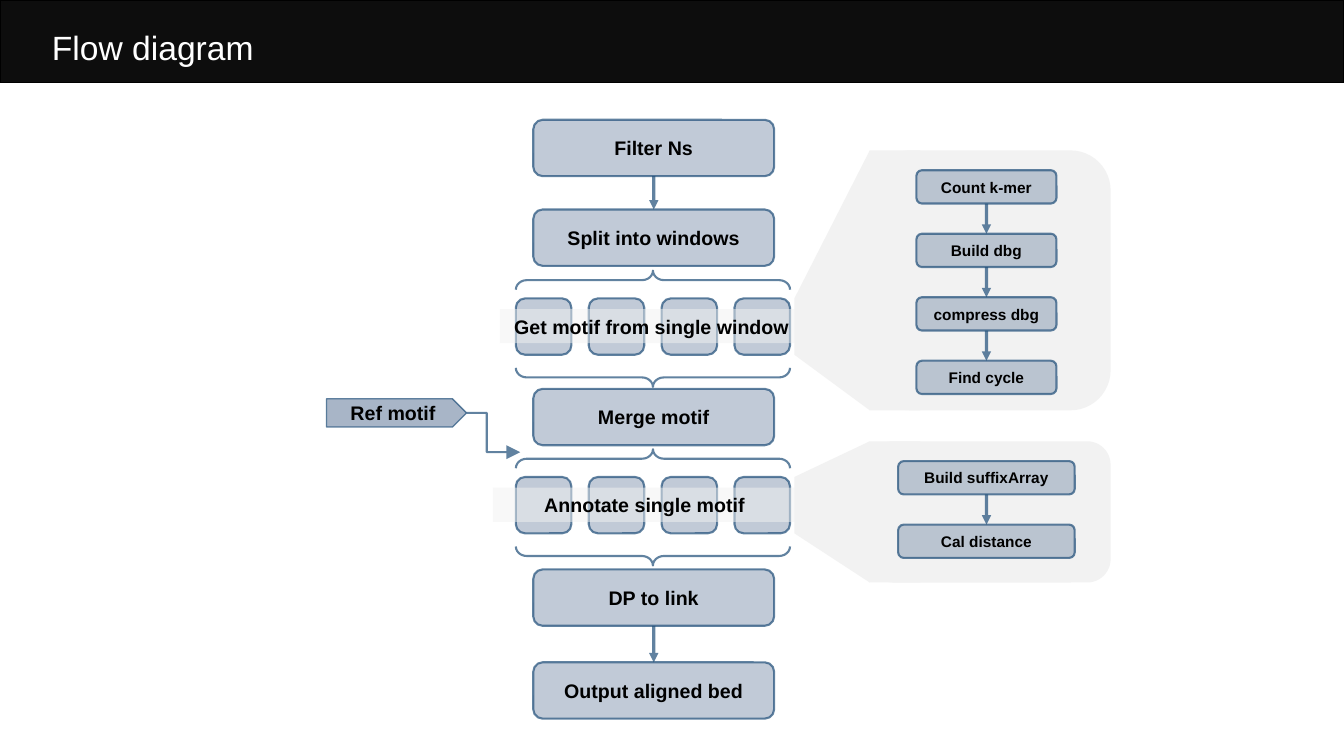
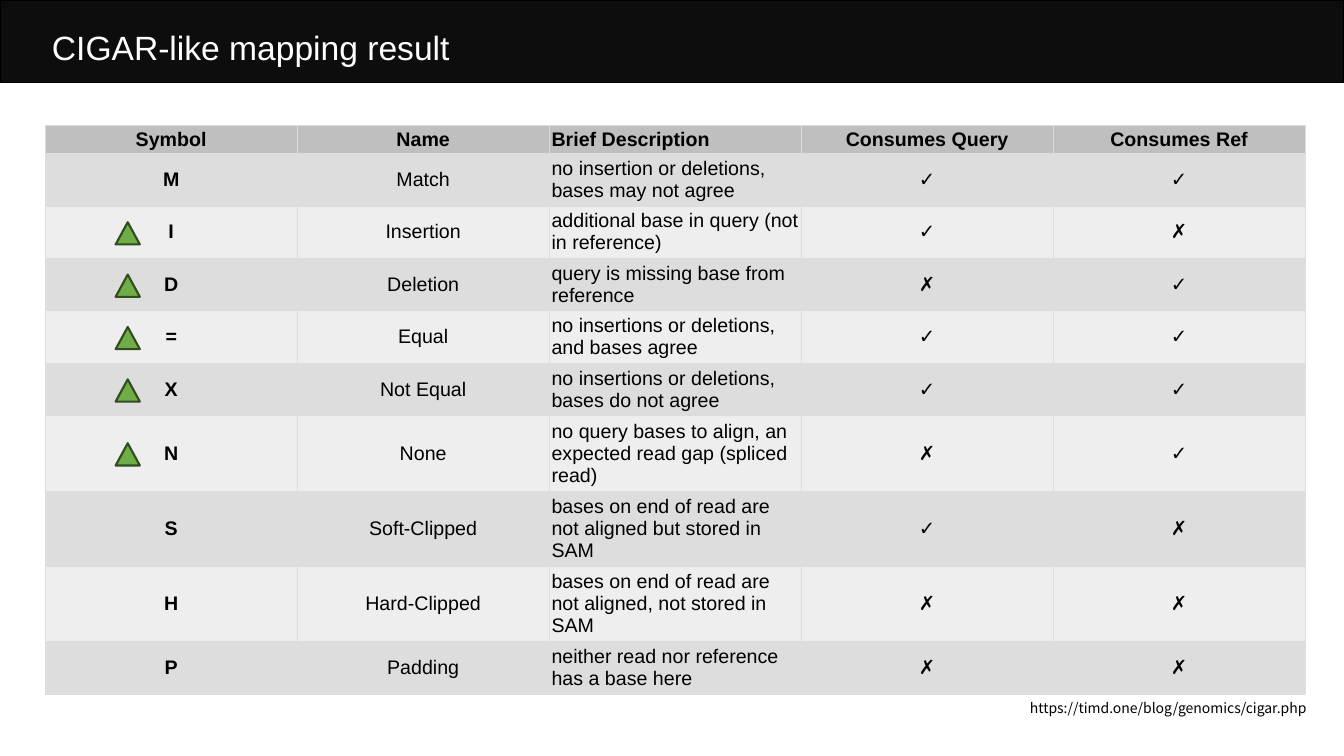
from dataclasses import dataclass
from itertools import accumulate, pairwise

from lxml.etree import SubElement
from pptx import Presentation
from pptx.dml.color import RGBColor
from pptx.enum.shapes import MSO_CONNECTOR as Link, MSO_SHAPE as Kind
from pptx.enum.text import MSO_ANCHOR as Anchor, PP_ALIGN as Align
from pptx.oxml.ns import qn
from pptx.util import Cm, Pt


@dataclass(frozen=True)
class Theme:
    font: str = "Arial"
    link_font: str = "Noto Sans CJK SC"
    black: str = "000000"
    white: str = "FFFFFF"
    band: str = "0D0D0D"
    step: str = "8497B0"
    edge: str = "1F4E79"
    panel: str = "F2F2F2"
    header: str = "BFBFBF"
    rows: tuple = ("DDDDDD", "EEEEEE")
    border: str = "DDDDDD"
    marker: str = "70AD47"
    marker_edge: str = "314C1F"
    title_size: float = 24
    body_size: float = 14
    detail_size: float = 11
    link_size: float = 10
    edge_alpha: int = 70


THEME = Theme()


@dataclass(frozen=True)
class Box:
    """A rectangle in centimetres."""
    left: float
    top: float
    width: float
    height: float

    @property
    def center(self):
        return self.left + self.width / 2

    @property
    def middle(self):
        return self.top + self.height / 2

    def emu(self):
        return [Cm(v) for v in (self.left, self.top, self.width, self.height)]


def centered(x, y, width, height):
    return Box(x - width / 2, y - height / 2, width, height)


# Shared drawing helpers
def fade(solid_fill, percent):
    if percent < 100:
        SubElement(solid_fill[0], qn("a:alpha"), val=str(percent * 1000))


def paint_line(item, color, width, alpha=100):
    item.line.color.rgb = RGBColor.from_string(color)
    item.line.width = Pt(width)
    fade(item.element.spPr.find(qn("a:ln")).find(qn("a:solidFill")), alpha)


def paint(shape, fill=None, alpha=100, line=None, width=1.5, line_alpha=100):
    shape.shadow.inherit = False
    if fill:
        shape.fill.solid()
        shape.fill.fore_color.rgb = RGBColor.from_string(fill)
        fade(shape.element.spPr.find(qn("a:solidFill")), alpha)
    else:
        shape.fill.background()
    if line:
        paint_line(shape, line, width, line_alpha)
    else:
        shape.line.fill.background()


def add_shape(page, kind, box, **look):
    shape = page.shapes.add_shape(kind, *box.emu())
    paint(shape, **look)
    return shape


def write(frame, text, size, bold=False, color=THEME.black,
          align=Align.CENTER, font=THEME.font):
    frame.text = text
    para = frame.paragraphs[0]
    para.alignment = align
    for span in para.runs:
        span.font.name = font
        span.font.size = Pt(size)
        span.font.bold = bold
        span.font.color.rgb = RGBColor.from_string(color)


def add_text(page, box, text, size, **style):
    frame = page.shapes.add_textbox(*box.emu()).text_frame
    frame.word_wrap = True
    write(frame, text, size, **style)


def add_step(page, box, text="", size=THEME.body_size,
             kind=Kind.ROUNDED_RECTANGLE, alpha=50, width=1.5):
    step = add_shape(page, kind, box, fill=THEME.step, alpha=alpha,
                     line=THEME.edge, width=width, line_alpha=THEME.edge_alpha)
    if text:
        frame = step.text_frame
        frame.vertical_anchor = Anchor.MIDDLE
        write(frame, text, size, bold=True)
    return step


def finish_arrow(arrow, width, head="med"):
    paint_line(arrow, THEME.edge, width, THEME.edge_alpha)
    properties = arrow.element.spPr
    SubElement(properties.find(qn("a:ln")), qn("a:tailEnd"),
               type="triangle", w=head, len=head)
    SubElement(properties, qn("a:effectLst"))


def join_down(page, upper, lower):
    arrow = page.shapes.add_connector(Link.STRAIGHT, 0, 0, 0, 0)
    arrow.begin_connect(upper, 2)
    arrow.end_connect(lower, 0)
    finish_arrow(arrow, 2.25)


def start_page(deck, title):
    page = deck.slides.add_slide(deck.slide_layouts[6])
    add_shape(page, Kind.RECTANGLE, Box(0, 0, 33.87, 2.08),
              fill=THEME.band, line=THEME.black, width=1)
    add_text(page, Box(1.06, 0.56, 26.95, 1.27), title, THEME.title_size,
             color=THEME.white, align=Align.LEFT)
    return page


# Flow diagram
def add_main_steps(page, box):
    step_height = 1.42
    offsets = {"Filter Ns": 0, "Split into windows": 2.26, "Merge motif": 6.78,
               "DP to link": 11.33, "Output aligned bed": 13.67}
    steps = [add_step(page, Box(box.left, box.top + offset, box.width,
                                step_height), text)
             for text, offset in offsets.items()]
    join_down(page, steps[0], steps[1])
    join_down(page, steps[3], steps[4])


def add_parallel_row(page, box, text, strip_left):
    # Four parallel tasks
    side, count = 1.4, 4
    pitch = (box.width - side) / (count - 1)
    for index in range(count):
        add_step(page, Box(box.left + index * pitch, box.top, side, box.height))
    # Braces that open above and close below
    for offset, turn in ((-1.17, 90), (1.28, 270)):
        spot = centered(box.center, box.middle + offset, 0.48, box.width)
        brace = add_shape(page, Kind.LEFT_BRACE, spot, line=THEME.edge,
                          line_alpha=THEME.edge_alpha)
        brace.adjustments[0] = 0.576
        brace.rotation = turn
    # Label strip
    strip = add_shape(page, Kind.RECTANGLE,
                      Box(strip_left, box.middle - 0.44, 7.65, 0.86),
                      fill=THEME.panel, alpha=50)
    strip.text_frame.vertical_anchor = Anchor.MIDDLE
    write(strip.text_frame, text, THEME.body_size, bold=True)


def add_detail_panel(page, box, source, step_width, texts):
    # Funnel from the row to the panel
    mouth = box.left - 1.9
    outline = [(mouth, source.top), (mouth, source.top + source.height),
               (box.left, box.top + box.height), (box.left, box.top)]
    points = [(Cm(x), Cm(y)) for x, y in outline]
    builder = page.shapes.build_freeform(*points[0], scale=1.0)
    builder.add_line_segments(points[1:], close=True)
    paint(builder.convert_to_shape(), fill=THEME.panel)
    # Panel, square on the left and rounded on the right
    add_shape(page, Kind.ROUNDED_RECTANGLE, box, fill=THEME.panel)
    add_shape(page, Kind.RECTANGLE, Box(box.left, box.top, 1.27, box.height),
              fill=THEME.panel)
    # Steps
    left = box.left + 2.94 - step_width / 2
    steps = [add_step(page, Box(left, box.top + 0.5 + index * 1.6,
                                step_width, 0.84), text, THEME.detail_size)
             for index, text in enumerate(texts)]
    for upper, lower in pairwise(steps):
        join_down(page, upper, lower)


def add_reference(page, box):
    add_step(page, box, "Ref motif", kind=Kind.PENTAGON, alpha=70, width=1)
    right = box.left + box.width
    arrow = page.shapes.add_connector(Link.ELBOW, Cm(right), Cm(box.middle),
                                      Cm(right + 1.35), Cm(box.middle + 0.99))
    guides = arrow.element.spPr.find(qn("a:prstGeom")).find(qn("a:avLst"))
    SubElement(guides, qn("a:gd"), name="adj1", fmla="val 37600")
    finish_arrow(arrow, 1.5, head="lg")


def build_flow_page(deck):
    page = start_page(deck, "Flow diagram")
    add_main_steps(page, Box(13.44, 3.02, 6.07, 15.09))
    windows = Box(13, 7.52, 6.91, 1.42)
    motifs = Box(13, 12.02, 6.91, 1.42)
    add_parallel_row(page, windows, "Get motif from single window", 12.6)
    add_parallel_row(page, motifs, "Annotate single motif", 12.42)
    add_detail_panel(page, Box(21.92, 3.79, 6.07, 6.55), windows, 3.53,
                     ["Count k-mer", "Build dbg", "compress dbg", "Find cycle"])
    add_detail_panel(page, Box(21.92, 11.12, 6.07, 3.56), motifs, 4.45,
                     ["Build suffixArray", "Cal distance"])
    add_reference(page, Box(8.23, 10.05, 3.53, 0.71))


# Operation table
HEADINGS = ("Symbol", "Name", "Brief Description", "Consumes Query",
            "Consumes Ref")
# Symbol, name, description, query, reference, lines of text
OPERATIONS = (
    ("M", "Match", "no insertion or deletions, bases may not agree",
     "✓", "✓", 2),
    ("I", "Insertion", "additional base in query (not in reference)",
     "✓", "✗", 2),
    ("D", "Deletion", "query is missing base from reference", "✗", "✓", 2),
    ("=", "Equal", "no insertions or deletions, and bases agree",
     "✓", "✓", 2),
    ("X", "Not Equal", "no insertions or deletions, bases do not agree",
     "✓", "✓", 2),
    ("N", "None",
     "no query bases to align, an expected read gap (spliced read)",
     "✗", "✓", 3),
    ("S", "Soft-Clipped",
     "bases on end of read are not aligned but stored in SAM", "✓", "✗", 3),
    ("H", "Hard-Clipped",
     "bases on end of read are not aligned, not stored in SAM", "✗", "✗", 3),
    ("P", "Padding", "neither read nor reference has a base here",
     "✗", "✗", 2),
)
MARKED = "ID=XN"
ROW_HEIGHTS = {1: 0.72, 2: 1.32, 3: 1.9}


def style_cell(cell, fill):
    cell.vertical_anchor = Anchor.MIDDLE
    cell.margin_left = cell.margin_right = Cm(0.06)
    cell.margin_top = cell.margin_bottom = Cm(0.05)
    cell.fill.solid()
    cell.fill.fore_color.rgb = RGBColor.from_string(fill)
    properties = cell._tc.get_or_add_tcPr()
    for index, side in enumerate(("a:lnL", "a:lnR", "a:lnT", "a:lnB")):
        border = SubElement(properties, qn(side), w=str(Pt(0.6)))
        SubElement(SubElement(border, qn("a:solidFill")), qn("a:srgbClr"),
                   val=THEME.border)
        properties.insert(index, border)


def add_operation_table(page, box):
    records = [(*HEADINGS, 1), *OPERATIONS]
    heights = [ROW_HEIGHTS[record[-1]] for record in records]
    table = page.shapes.add_table(len(records), len(HEADINGS),
                                  *box.emu()).table
    table.first_row = table.horz_banding = False
    for column in table.columns:
        column.width = Cm(box.width / len(HEADINGS))
    for row, record in enumerate(records):
        table.rows[row].height = Cm(heights[row])
        fill = THEME.rows[(row - 1) % 2] if row else THEME.header
        for col, text in enumerate(record[:-1]):
            cell = table.cell(row, col)
            style_cell(cell, fill)
            write(cell.text_frame, text, THEME.body_size,
                  bold=row == 0 or col == 0,
                  align=Align.LEFT if col == 2 else Align.CENTER)
    # Markers beside the chosen symbols
    for record, height, bottom in zip(records, heights, accumulate(heights)):
        if record[0] in MARKED:
            spot = centered(box.left + 2.08, box.top + bottom - height / 2 + 0.03,
                            0.61, 0.56)
            add_shape(page, Kind.ISOSCELES_TRIANGLE, spot, fill=THEME.marker,
                      line=THEME.marker_edge)


def build_table_page(deck):
    page = start_page(deck, "CIGAR-like mapping result")
    add_operation_table(page, Box(1.14, 3.15, 31.75, 14.34))
    add_text(page, Box(25.3, 17.5, 7.87, 0.69),
             "https://timd.one/blog/genomics/cigar.php", THEME.link_size,
             align=Align.RIGHT, font=THEME.link_font)


def main():
    deck = Presentation()
    deck.slide_width, deck.slide_height = Cm(33.87), Cm(19.05)
    build_flow_page(deck)
    build_table_page(deck)
    deck.save("out.pptx")


if __name__ == "__main__":
    main()
